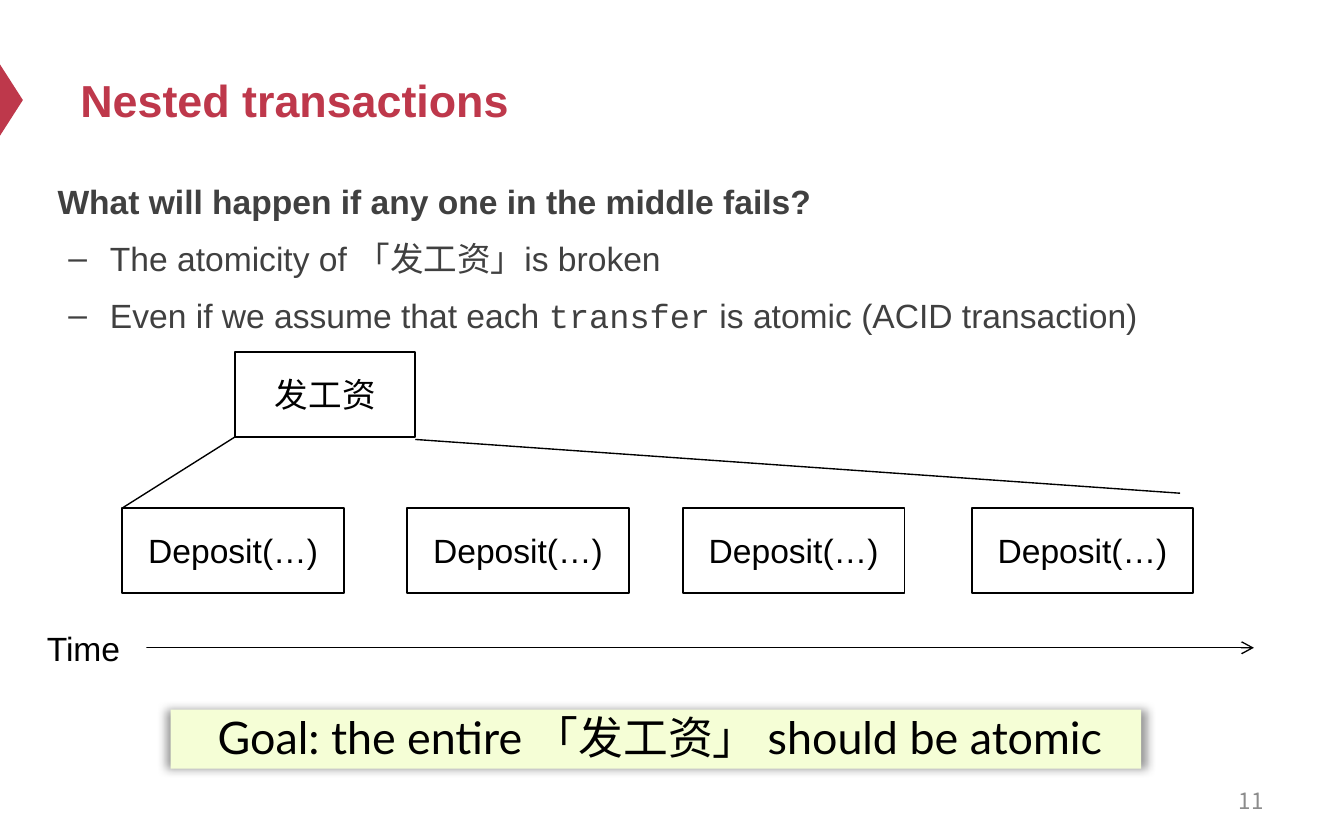
from lxml.etree import SubElement as Sub
from pptx import Presentation
from pptx.dml.color import RGBColor
from pptx.enum.shapes import MSO_CONNECTOR as Link, MSO_SHAPE as Kind
from pptx.enum.text import MSO_ANCHOR as Anchor, PP_ALIGN as Align
from pptx.oxml.ns import qn
from pptx.util import Inches, Pt

deck = Presentation()
deck.slide_width, deck.slide_height = Inches(10), Inches(6.25)
COL = deck.slide_width / 100
ROW = deck.slide_height / 62.5
page = deck.slides.add_slide(deck.slide_layouts[6])
shapes = page.shapes

RED, GREY, BLACK, WHITE = "BE384B", "404040", "000000", "FFFFFF"
BASE = {"name": "Arial", "size": Pt(18), "bold": False}


def hue(code):
    return RGBColor.from_string(code)


def box(at, lines, ink=BLACK, fill=None, edge=None, form={}, side=Align.LEFT, anchor=Anchor.TOP):
    x, y, w, h = at
    area = [int(n) for n in (x * COL, y * ROW, w * COL, h * ROW)]
    if fill or edge:
        item = shapes.add_shape(Kind.RECTANGLE, *area)
        item.shadow.inherit = False
    else:
        item = shapes.add_textbox(*area)
    if fill:
        item.fill.solid()
        item.fill.fore_color.rgb = hue(fill)
    else:
        item.fill.background()
    if edge:
        item.line.color.rgb = hue(edge)
        item.line.width = Pt(1)
    else:
        item.line.fill.background()
    frame = item.text_frame
    frame.word_wrap = True
    frame.vertical_anchor = anchor
    for row, runs in enumerate(lines):
        para = frame.paragraphs[0] if row == 0 else frame.add_paragraph()
        para.alignment = side
        for text, more in runs:
            run = para.add_run()
            run.text = text
            for key, val in {**BASE, **form, **more}.items():
                setattr(run.font, key, val)
            run.font.color.rgb = hue(ink)
    return item


mark = shapes.add_shape(Kind.ISOSCELES_TRIANGLE, int(-1.8 * COL), int(6.6 * ROW), int(5.3 * COL), int(1.7 * ROW))
mark.rotation = 90
mark.shadow.inherit = False
mark.fill.solid()
mark.fill.fore_color.rgb = hue(RED)
mark.line.fill.background()

box((5, 2.5, 90, 9.8), [[("Nested transactions", {})]], RED,
    form={"size": Pt(24), "bold": True}, anchor=Anchor.MIDDLE)

body = box((3.3, 12.4, 90, 14.2), [
    [("What will happen if any one in the middle fails?", {"bold": True})],
    [("The atomicity of 「发工资」is broken", {})],
    [("Even if we assume that each ", {}), ("transfer", {"name": "Courier New"}),
     (" is atomic (ACID transaction)", {})],
], GREY)
for row, para in enumerate(body.text_frame.paragraphs):
    para.line_spacing = 1.2
    if row:
        para.space_before = Pt(4.5)
        prop = para._p.get_or_add_pPr()
        prop.set("marL", str(Inches(0.39)))
        prop.set("indent", str(Inches(-0.31)))
        Sub(prop, qn("a:buFont"), typeface="Arial")
        Sub(prop, qn("a:buChar"), char="–")

box((71.7, 57.9, 23.3, 3.3), [[("11", {})]], "8C8C8C",
    form={"name": "Noto Sans CJK SC", "size": Pt(12)}, side=Align.RIGHT, anchor=Anchor.MIDDLE)

ends = [(4.3, 48.2, 93.3, 48.2), (9.1, 37.8, 17.5, 32.5), (87.8, 36.7, 30.9, 32.7)]
for x, y, to, down in ends:
    line = shapes.add_connector(Link.STRAIGHT, int(x * COL), int(y * ROW), int(to * COL), int(down * ROW))
    line.line.color.rgb = hue(BLACK)
    line.line.width = Pt(0.75)
    prop = line._element.spPr
    if y == down:
        Sub(prop.find(qn("a:ln")), qn("a:tailEnd"), type="arrow")
    Sub(prop, qn("a:effectLst"))

box((2.5, 46.2, 8.4, 4), [[("Time", {})]], fill=WHITE)
box((17.5, 26.2, 13.4, 6.3), [[("发工资", {})]], fill=WHITE, edge=BLACK,
    side=Align.CENTER, anchor=Anchor.MIDDLE)
for x in (9.1, 30.3, 50.8, 72.3):
    box((x, 37.8, 16.5, 6.3), [[("Deposit(…)", {})]], edge=BLACK,
        side=Align.CENTER, anchor=Anchor.MIDDLE)

goal = box((12.7, 52.8, 72.2, 4.4), [[("Goal: the entire 「发工资」 should be atomic", {})]],
           fill="F5FED6", form={"name": "Lato", "size": Pt(24)}, side=Align.CENTER)
pads = {"margin_left": 0.08, "margin_top": 0, "margin_right": 0.08, "margin_bottom": 0.04}
for key, val in pads.items():
    setattr(goal.text_frame, key, Inches(val))
prop = goal.text_frame.paragraphs[0]._p.get_or_add_pPr()
prop.set("marL", str(Inches(0.48)))
prop.set("indent", str(Inches(-0.42)))
glow = Sub(goal._element.spPr.find(qn("a:effectLst")), qn("a:outerShdw"),
           blurRad=str(Pt(5)), dist="0", dir="0", sx="101000", algn="ctr", rotWithShape="0")
Sub(Sub(glow, qn("a:srgbClr"), val=BLACK), qn("a:alpha"), val="40000")

deck.save("out.pptx")
